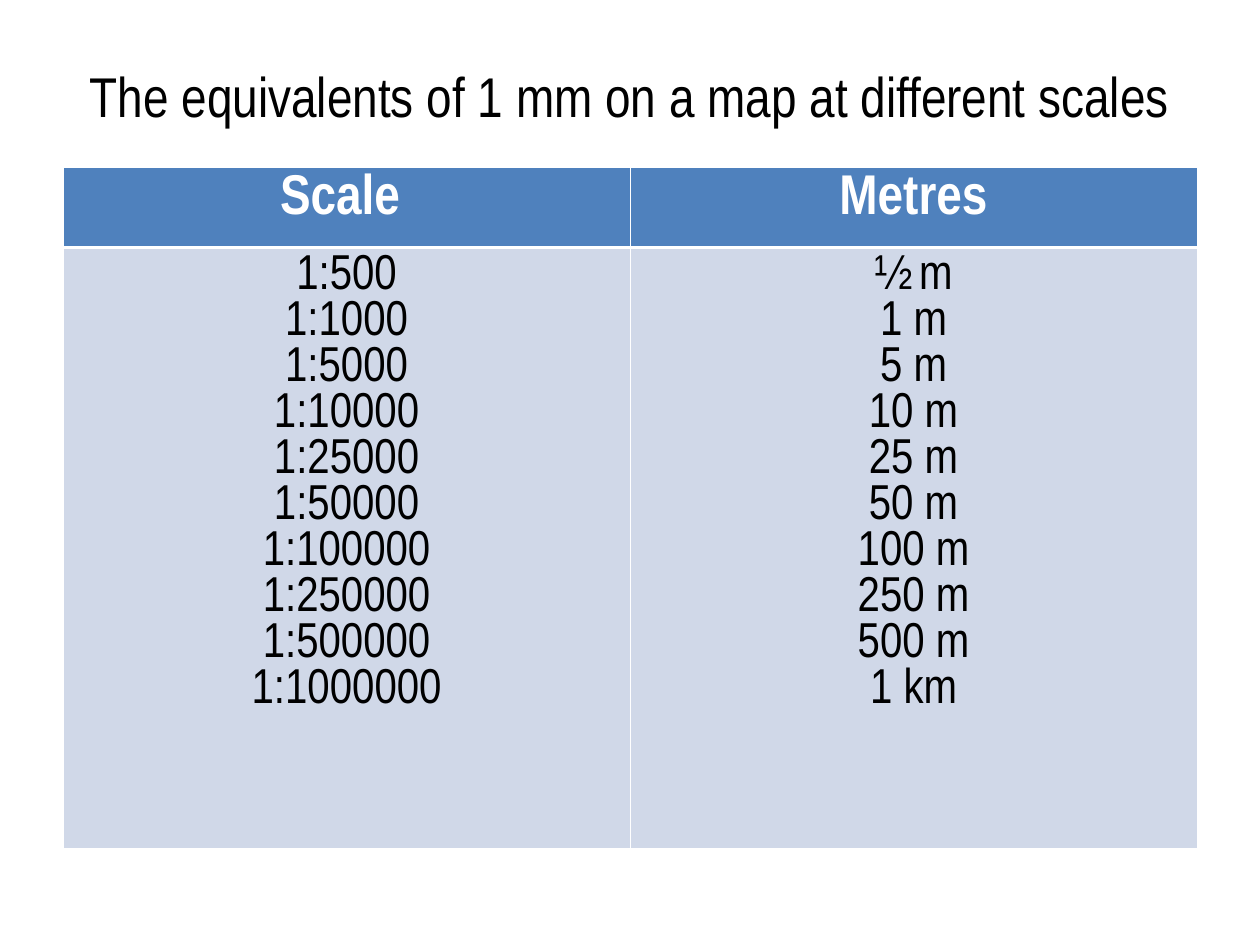
"""Build a slide listing what 1 mm on a map equals at different scales."""
import pptx
import pptx.dml.color
import pptx.enum.text
import pptx.oxml
import pptx.oxml.ns
import pptx.util

Pt = pptx.util.Pt
RGBColor = pptx.dml.color.RGBColor

TITLE = "The equivalents of 1 mm on a map at different scales"
HEADERS = ["Scale ", "Metres"]
EQUIVALENTS = [
    ("1:500", "½ m"),
    ("1:1000", "1 m"),
    ("1:5000", "5 m"),
    ("1:10000", "10 m"),
    ("1:25000", "25 m"),
    ("1:50000", "50 m"),
    ("1:100000", "100 m"),
    ("1:250000", "250 m"),
    ("1:500000", "500 m"),
    ("1:1000000", "1 km"),
]

FONT = "Arial Narrow"
BLACK = RGBColor(0x00, 0x00, 0x00)
WHITE = RGBColor(0xFF, 0xFF, 0xFF)
BLUE = RGBColor(0x4F, 0x81, 0xBD)
PALE_BLUE = RGBColor(0xD0, 0xD8, 0xE8)
LEFT, WIDTH = 36, 648
ROW_HEIGHTS = [45.36, 343.44]
THIN, THICK = 0.45, 1.47


def write_lines(tf, lines, size, color, bold=False):
    for i, line in enumerate(lines):
        p = tf.paragraphs[0] if i == 0 else tf.add_paragraph()
        p.alignment = pptx.enum.text.PP_ALIGN.CENTER
        r = p.add_run()
        r.text = line
        r.font.name = FONT
        r.font.size = Pt(size)
        r.font.bold = bold
        r.font.color.rgb = color


def set_borders(cell, widths):
    tcPr = cell._tc.get_or_add_tcPr()
    for i, (side, width) in enumerate(widths.items()):
        tcPr.insert(i, pptx.oxml.parse_xml(
            f'<a:ln{side} {pptx.oxml.ns.nsdecls("a")} w="{int(Pt(width))}">'
            f'<a:solidFill><a:srgbClr val="{WHITE}"/></a:solidFill></a:ln{side}>'))


def add_title(s):
    sp = s.shapes.add_textbox(Pt(LEFT), Pt(21.6), Pt(WIDTH), Pt(56.16))
    tf = sp.text_frame
    tf.word_wrap = True
    tf.vertical_anchor = pptx.enum.text.MSO_ANCHOR.MIDDLE
    tf.margin_top = Pt(13.2)
    write_lines(tf, [TITLE], 32, BLACK)


def add_scale_table(s):
    table = s.shapes.add_table(2, len(HEADERS), Pt(LEFT), Pt(95.76),
                               Pt(WIDTH), Pt(sum(ROW_HEIGHTS))).table
    for row, height in zip(table.rows, ROW_HEIGHTS):
        row.height = Pt(height)
    for col, (header, values) in enumerate(zip(HEADERS, zip(*EQUIVALENTS))):
        table.columns[col].width = Pt(WIDTH / len(HEADERS))
        head, body = table.cell(0, col), table.cell(1, col)
        write_lines(head.text_frame, [header], 32, WHITE, bold=True)
        write_lines(body.text_frame, values, 28, BLACK)
        for cell, fill, top, bottom in ((head, BLUE, THIN, THICK),
                                        (body, PALE_BLUE, THICK, THIN)):
            cell.fill.solid()
            cell.fill.fore_color.rgb = fill
            set_borders(cell, {"L": THIN, "R": THIN, "T": top, "B": bottom})


def main():
    prs = pptx.Presentation()
    prs.slide_width, prs.slide_height = Pt(720), Pt(540)
    s = prs.slides.add_slide(prs.slide_layouts[6])
    add_title(s)
    add_scale_table(s)
    prs.save("out.pptx")


if __name__ == "__main__":
    main()
